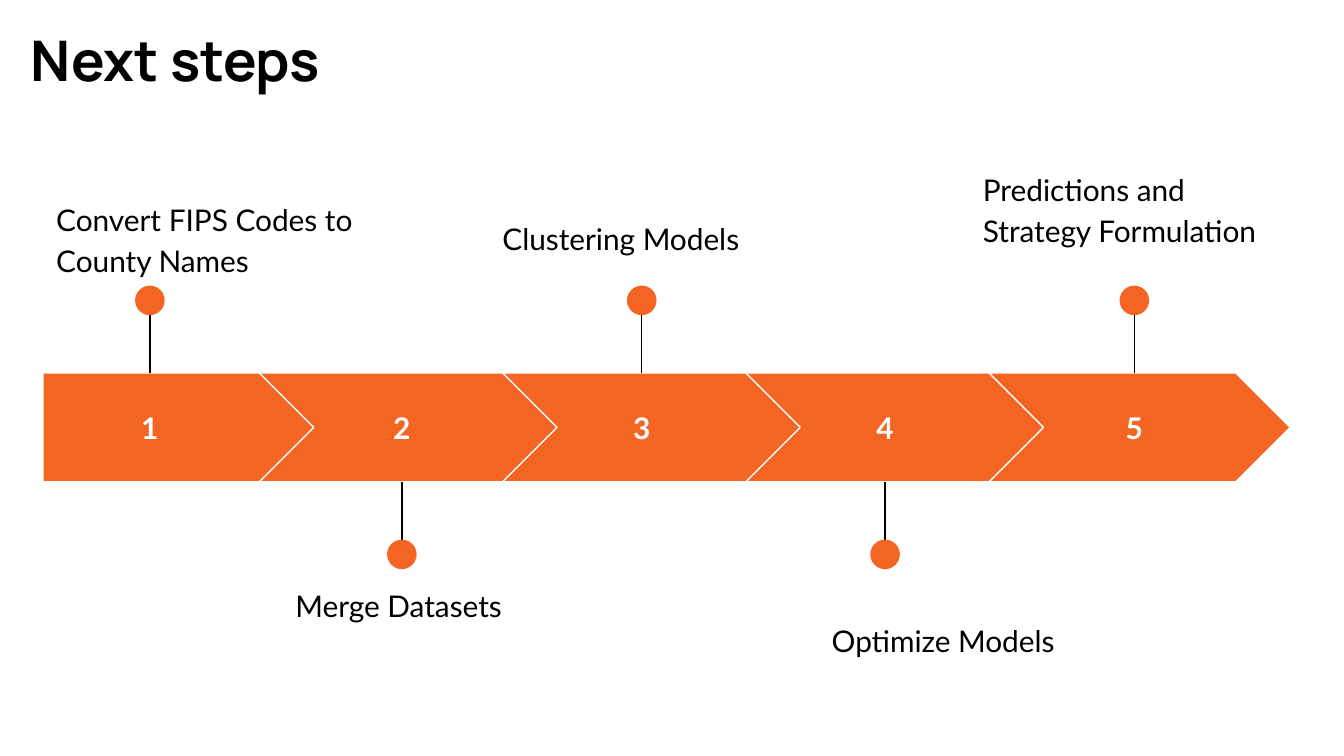
from lxml.etree import SubElement
from pptx import Presentation
from pptx.dml.color import RGBColor
from pptx.enum.shapes import MSO_CONNECTOR, MSO_SHAPE
from pptx.enum.text import MSO_ANCHOR, MSO_AUTO_SIZE, PP_ALIGN
from pptx.oxml.ns import qn
from pptx.util import Pt

SCALE = 4572
COLORS = {"accent": "F46524", "text": "000000", "paper": "FFFFFF"}
STEPS = [
    ("Convert FIPS Codes to County Names", 223, (64, 272)),
    ("Merge Datasets", 598, (420, 846)),
    ("Clustering Models", 955, (728, 300)),
    ("Optimize Models", 1317, (1218, 899)),
    ("Predictions and Strategy Formulation", 1688, (1443, 227)),
]


def px(*values):
    """Turn px lengths into EMU."""
    return [value * SCALE for value in values]


def color(name):
    """Look up a named colour."""
    return RGBColor.from_string(COLORS[name])


def write(shape, text, size=16, font="Lato", ink="text", bold=False,
          align=PP_ALIGN.LEFT, anchor=MSO_ANCHOR.TOP, spacing=1.0, after=0):
    """Put one formatted paragraph in a shape."""
    frame = shape.text_frame
    frame.word_wrap = True
    frame.auto_size = MSO_AUTO_SIZE.NONE
    frame.vertical_anchor = anchor
    frame.margin_left, frame.margin_top, frame.margin_right, frame.margin_bottom = px(20, 20, 20, 20)
    para = frame.paragraphs[0]
    para.alignment, para.line_spacing, para.space_after = align, spacing, Pt(after)
    run = para.add_run()
    run.text = text
    run.font.name, run.font.size, run.font.bold = font, Pt(size), bold
    run.font.color.rgb = color(ink)


def draw(shapes, kind, box, line=None):
    """Add a flat accent shape with an optional outline."""
    shape = shapes.add_shape(kind, *px(*box))
    shape.shadow.inherit = False
    shape.fill.solid()
    shape.fill.fore_color.rgb = color("accent")
    if line:
        shape.line.color.rgb = color(line)
        shape.line.width = Pt(0.75)
    else:
        shape.line.fill.background()
    return shape


def add_title(slide, box, text):
    """Place and format the title placeholder."""
    title = slide.shapes.title
    title.left, title.top, title.width, title.height = px(*box)
    write(title, text, size=30, font="Manrope", bold=True)


def add_arrow(slide, box, center, number, first):
    """Draw one numbered arrow of the band."""
    top, height = box[1], box[3]
    kind = MSO_SHAPE.PENTAGON if first else MSO_SHAPE.CHEVRON
    arrow = draw(slide.shapes, kind, box, line="paper")
    arrow.adjustments[0] = 0.5
    label = slide.shapes.add_textbox(*px(center - 144, top + (height - 102) // 2, 288, 102))
    write(label, str(number), ink="paper", bold=True,
          align=PP_ALIGN.CENTER, anchor=MSO_ANCHOR.MIDDLE)


def add_pin(slide, center, edge, way):
    """Draw a grouped stem and dot from the band edge, up or down."""
    group = slide.shapes.add_group_shape()
    stem = group.shapes.add_connector(
        MSO_CONNECTOR.STRAIGHT, *px(center, edge + way * 121, center, edge))
    stem.line.color.rgb = color("text")
    stem.line.width = Pt(0.75)
    SubElement(stem.element.spPr, qn("a:effectLst"))
    draw(group.shapes, MSO_SHAPE.OVAL, (center - 22, edge + way * 108 - 22, 44, 44))


def add_band(slide, box):
    """Draw the arrow band with its pins and labels."""
    left, top, height = box
    for index, (text, center, spot) in enumerate(STEPS):
        first, above = index == 0, index % 2 == 0
        start, width = (left, 410) if first else (left - 40 + 362 * index, 448)
        add_arrow(slide, (start, top, width, height), center, index + 1, first)
        add_pin(slide, center, top if above else top + height, -1 if above else 1)
        label = slide.shapes.add_textbox(*px(*spot, 490, 198))
        write(label, text, spacing=1.15, after=16)


def main():
    """Build and save the slide."""
    deck = Presentation()
    deck.slide_width, deck.slide_height = px(2000, 1125)
    slide = deck.slides.add_slide(deck.slide_layouts[5])
    add_band(slide, (64, 555, 162))
    add_title(slide, (26, 18, 1382, 138), "Next steps")
    deck.save("out.pptx")


if __name__ == "__main__":
    main()
